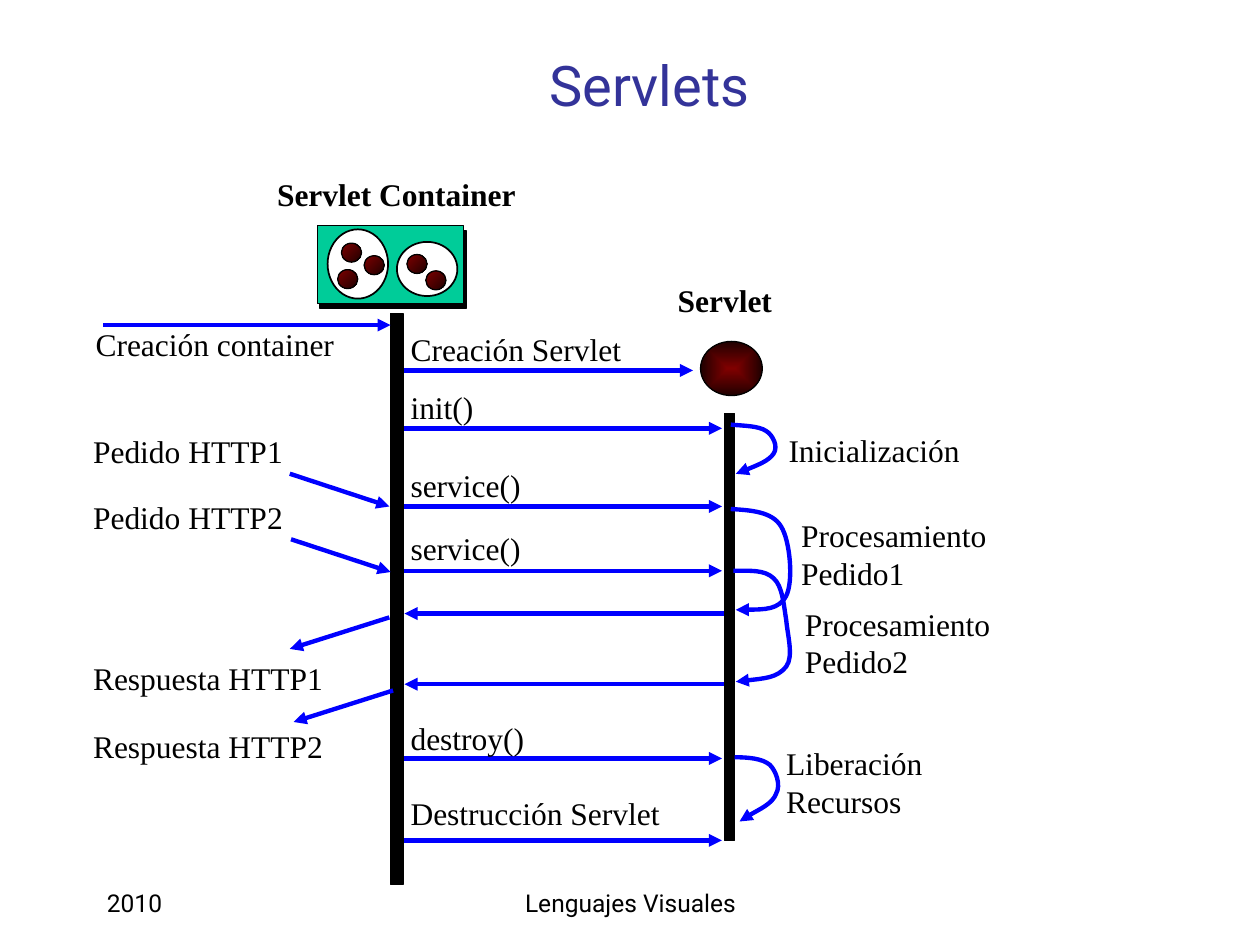
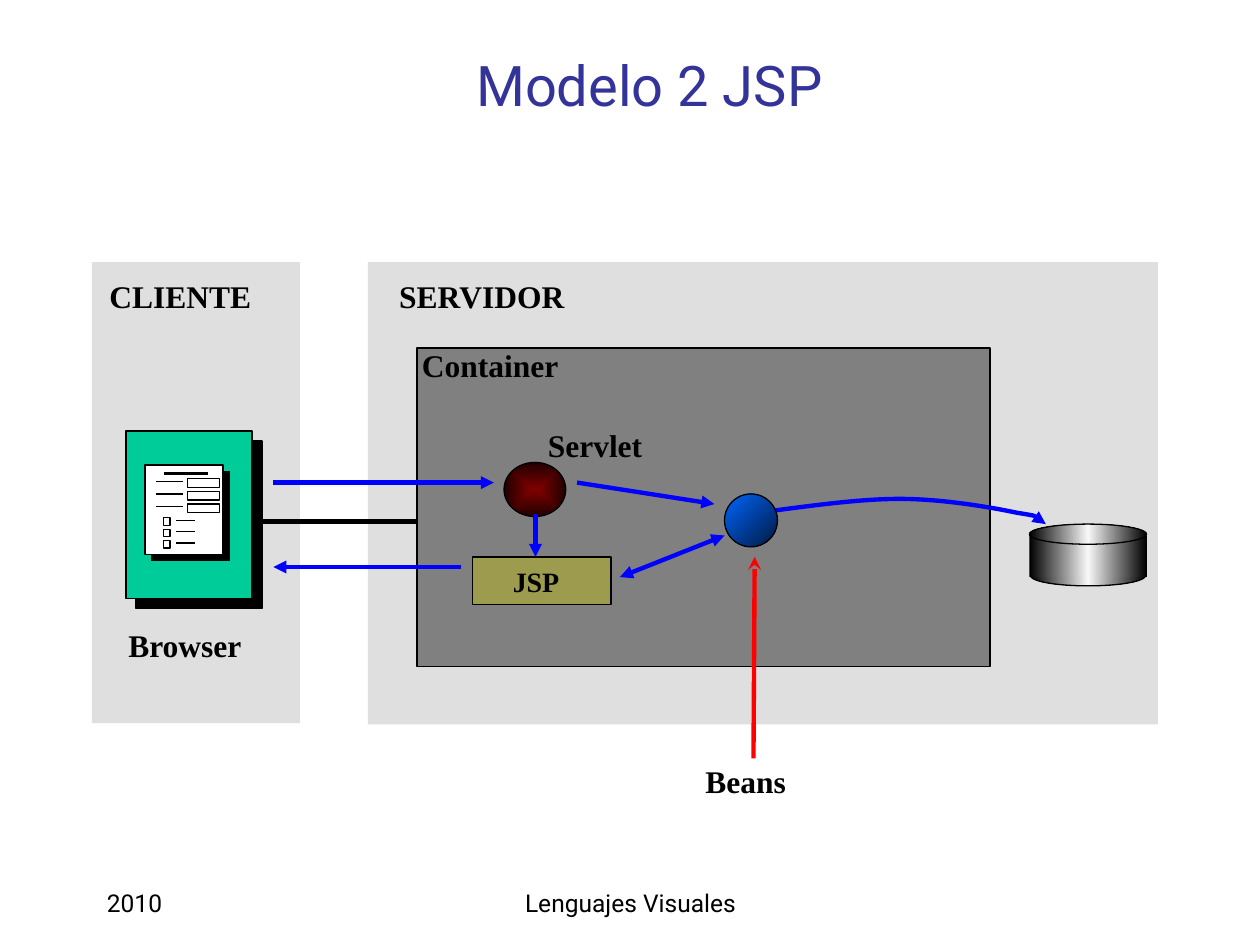
from lxml import etree
from pptx import Presentation
from pptx.dml.color import RGBColor as RGB
from pptx.enum.shapes import MSO_CONNECTOR as LINK, MSO_SHAPE as GEOM
from pptx.enum.text import MSO_ANCHOR as ANCHOR, PP_ALIGN as ALIGN
from pptx.oxml import parse_xml
from pptx.oxml.ns import qn
from pptx.util import Cm, Pt

BLACK = RGB(0, 0, 0)
WHITE = RGB(255, 255, 255)
NAVY = RGB(0x33, 0x33, 0x99)
BLUE = RGB(0, 0, 255)
RED = RGB(255, 0, 0)
GREEN = RGB(0, 0xCC, 0x99)
OLIVE = RGB(0x9D, 0x9B, 0x4D)
SILVER = RGB(0xC0, 0xC0, 0xC0)
GRAY = RGB(0x80, 0x80, 0x80)
LIGHT = RGB(0xF8, 0xF8, 0xF8)
MAROON = RGB(0x80, 0, 0)
DARK = RGB(0x20, 0, 0)
SKY = RGB(0, 0x66, 0xFF)
DEEP = RGB(0, 0x19, 0x3F)

SANS, SERIF = "Roboto", "Times New Roman"
A_NS = 'xmlns:a="http://schemas.openxmlformats.org/drawingml/2006/main"'
DOT = ((MAROON, DARK), 45)
STEEL = ((BLACK, LIGHT, BLACK), 0)


def inch(num):
    """Turn a slide measure in inches into a length."""
    return Cm(num * 2.54)


def style(frame, text, size=18, font=SERIF, color=BLACK, bold=False,
          align=ALIGN.LEFT, anchor=ANCHOR.TOP):
    """Put text in a frame, one paragraph a line, and format it."""
    frame.word_wrap = True
    frame.vertical_anchor = anchor
    frame.text = text
    for par in frame.paragraphs:
        par.alignment = align
        face = par.font
        face.name, face.size, face.bold = font, Pt(size), bold
        face.color.rgb = color


def label(art, text, x, y, w=2.25, h=0.4, **form):
    box = art.add_textbox(*map(inch, (x, y, w, h)))
    style(box.text_frame, text, **form)


def shade(shape, colors, angle):
    """Fill with even gradient stops; no angle means from the centre out."""
    last = len(colors) - 1
    stops = "".join(f'<a:gs pos="{100000 * i // last}"><a:srgbClr val="{c}"/></a:gs>'
                    for i, c in enumerate(colors))
    if angle is None:
        way = ('<a:path path="shape"><a:fillToRect l="50000" t="50000" '
               'r="50000" b="50000"/></a:path>')
    else:
        way = f'<a:lin ang="{angle * 60000}" scaled="1"/>'
    geom = shape.element.spPr.find(qn("a:prstGeom"))
    geom.addnext(parse_xml(f"<a:gradFill {A_NS}><a:gsLst>{stops}</a:gsLst>{way}</a:gradFill>"))


def form(art, x, y, w, h, fill=None, geom=GEOM.RECTANGLE, edge=0.75, clear=None):
    """Preset shape; fill is a colour, a (colours, angle) pair or None."""
    shape = art.add_shape(geom, *map(inch, (x, y, w, h)))
    shape.shadow.inherit = False
    if fill is None:
        shape.fill.background()
    elif isinstance(fill, RGB):
        shape.fill.solid()
        shape.fill.fore_color.rgb = fill
    else:
        shade(shape, *fill)
    if clear:
        tint = shape.element.spPr.find(qn("a:solidFill"))[0]
        etree.SubElement(tint, qn("a:alpha"), val=str(clear * 1000))
    if edge:
        shape.line.color.rgb = BLACK
        shape.line.width = Pt(edge)
    else:
        shape.line.fill.background()
    return shape


def oval(art, x, y, w, h, fill, **more):
    form(art, x, y, w, h, fill, geom=GEOM.OVAL, **more)


def ball(art, x, y):
    """The large sphere that stands for a servlet."""
    oval(art, x, y, 0.49, 0.43, ((MAROON, DARK), None))


def stroke(item, color, width, tip=None, both=False):
    item.line.color.rgb = color
    item.line.width = Pt(width)
    line = item.line._get_or_add_ln()
    if both:
        etree.SubElement(line, qn("a:headEnd"), type=tip)
    if tip:
        etree.SubElement(line, qn("a:tailEnd"), type=tip)


def rule(art, x1, y1, x2, y2, color=BLACK, width=0.75, **ends):
    link = art.add_connector(LINK.STRAIGHT, *map(inch, (x1, y1, x2, y2)))
    etree.SubElement(link.element.spPr, qn("a:effectLst"))
    stroke(link, color, width, **ends)


def arrow(art, x1, y1, x2, y2, color=BLUE, tip="triangle", both=False):
    rule(art, x1, y1, x2, y2, color, 2.5, tip=tip, both=both)


def curve(art, *spots):
    """Arrow along Bezier arcs: a start, then three points for each arc."""
    start, *rest = [tuple(map(inch, spot)) for spot in spots]
    pen = art.build_freeform(*start)
    pen.add_line_segments(rest, close=False)
    shape = pen.convert_to_shape()
    shape.shadow.inherit = False
    shape.fill.background()
    stroke(shape, BLUE, 2.5, "triangle")
    track = next(shape.element.iter(qn("a:path")))
    legs = track.findall(qn("a:lnTo"))
    for i in range(0, len(legs), 3):
        arc = etree.SubElement(track, qn("a:cubicBezTo"))
        for leg in legs[i:i + 3]:
            arc.append(leg[0])
            track.remove(leg)


def base(deck, title):
    """New slide with the shared footer and title."""
    art = deck.slides.add_slide(deck.slide_layouts[6]).shapes
    label(art, "2010", 0.75, 7, 2.08, 0.33, size=14, font=SANS)
    label(art, "Lenguajes Visuales", 3.42, 7, 3.17, 0.33,
          size=14, font=SANS, align=ALIGN.CENTER)
    label(art, title, 1.06, 0.21, 8.19, 0.92, size=32, font=SANS, color=NAVY,
          align=ALIGN.CENTER, anchor=ANCHOR.MIDDLE)
    return art


def pod(art):
    """Container icon with two groups of servlets."""
    part = art.add_group_shape().shapes
    form(part, 2.54, 1.83, 1.16, 0.62, BLACK)
    form(part, 2.52, 1.79, 1.16, 0.62, GREEN)
    oval(part, 2.6, 1.82, 0.48, 0.55, WHITE, edge=1)
    oval(part, 3.15, 1.92, 0.48, 0.43, WHITE, edge=1)
    for x, y in ((2.68, 2.14), (2.89, 2.03), (2.71, 1.93), (3.38, 2.15), (3.23, 2.02)):
        oval(part, x, y, 0.16, 0.15, DOT)


def browser(art):
    """Window with a page that holds a form."""
    part = art.add_group_shape().shapes
    form(part, 1.08, 3.5, 1, 1.33, BLACK)
    form(part, 1, 3.42, 1, 1.33, GREEN)
    form(part, 1.2, 3.74, 0.62, 0.71, BLACK)
    form(part, 1.15, 3.69, 0.62, 0.71, WHITE)
    rule(part, 1.3, 3.76, 1.65, 3.76, width=1.5)
    for i in range(3):
        field, check = 3.82 + 0.1 * i, 4.13 + 0.09 * i
        rule(part, 1.24, field, 1.45, field)
        form(part, 1.49, field - 0.02, 0.25, 0.07)
        rule(part, 1.4, check, 1.55, check)
        form(part, 1.3, check - 0.02, 0.05, 0.06)


def drum(art):
    """Database cylinder."""
    part = art.add_group_shape().shapes
    oval(part, 8.18, 4.49, 0.91, 0.16, STEEL)
    form(part, 8.17, 4.25, 0.93, 0.33, STEEL, edge=0)
    oval(part, 8.17, 4.16, 0.93, 0.16, STEEL)
    for x in (8.18, 9.1):
        rule(part, x, 4.25, x, 4.58)


def cycle(deck):
    """Life cycle of a servlet as a sequence diagram."""
    art = base(deck, "Servlets")
    label(art, "Servlet Container", 2.1, 1.34, 2.19, bold=True)
    pod(art)
    ball(art, 5.56, 2.71)
    label(art, "Servlet", 5.28, 2.18, 1.07, bold=True)

    # Calls and replies between the two lifelines
    arrow(art, 3.16, 2.94, 5.5, 2.94)
    for y in (3.4, 4.02, 4.53, 6.02, 6.67):
        arrow(art, 3.21, y, 5.73, y)
    for y in (4.87, 5.43):
        arrow(art, 5.8, y, 3.21, y)
    form(art, 3.1, 2.49, 0.1, 4.53, BLACK)
    form(art, 5.75, 3.28, 0.08, 3.39, BLACK)

    # Requests and responses outside the container
    arrow(art, 0.82, 2.58, 3.1, 2.58)
    for x, y in ((2.3, 3.76), (2.31, 4.28)):
        arrow(art, x, y, x + 0.79, y + 0.26)
    for x, y in ((3.09, 4.9), (3.12, 5.48)):
        arrow(art, x, y, x - 0.79, y + 0.25)

    # Work inside the servlet
    curve(art, (5.8, 3.37), (5.91, 3.38), (6.02, 3.38), (6.08, 3.42),
          (6.13, 3.45), (6.18, 3.54), (6.14, 3.6),
          (6.1, 3.66), (5.9, 3.74), (5.84, 3.76))
    curve(art, (5.8, 4.04), (5.96, 4.05), (6.13, 4.06), (6.2, 4.18),
          (6.27, 4.29), (6.3, 4.61), (6.24, 4.73),
          (6.18, 4.84), (6.01, 4.84), (5.84, 4.84))
    curve(art, (5.82, 4.53), (5.95, 4.53), (6.07, 4.52), (6.14, 4.59),
          (6.21, 4.65), (6.22, 4.8), (6.24, 4.92),
          (6.25, 5.04), (6.3, 5.21), (6.24, 5.29),
          (6.17, 5.38), (6.01, 5.39), (5.84, 5.41))
    curve(art, (5.83, 6.01), (5.94, 6.01), (6.05, 6.02), (6.11, 6.07),
          (6.16, 6.12), (6.2, 6.23), (6.16, 6.3),
          (6.13, 6.38), (5.92, 6.48), (5.87, 6.52))

    # Labels, column by column
    label(art, "Creación container", 0.66, 2.53)
    for text, y in (("Pedido HTTP1", 3.38), ("Pedido HTTP2", 3.9),
                    ("Respuesta HTTP1", 5.18), ("Respuesta HTTP2", 5.72)):
        label(art, text, 0.64, y)
    for text, y in (("Creación Servlet", 2.57), ("init()", 3.03),
                    ("service()", 3.65), ("service()", 4.15),
                    ("destroy()", 5.66), ("Destrucción Servlet", 6.25)):
        label(art, text, 3.16, y, 2.35)
    label(art, "Inicialización", 6.16, 3.37, 1.78)
    for text, x, y in (("Procesamiento\nPedido1", 6.26, 4.05),
                       ("Procesamiento\nPedido2", 6.29, 4.75),
                       ("Liberación\nRecursos", 6.14, 5.86)):
        label(art, text, x, y, 1.82, 0.7)


def model(deck):
    """Client and server parts of the JSP model."""
    art = base(deck, "Modelo 2 JSP")

    # Areas
    form(art, 2.92, 2.08, 6.27, 3.67, SILVER, edge=0, clear=50)
    form(art, 3.31, 2.76, 4.55, 2.53, GRAY, edge=1)
    form(art, 0.73, 2.08, 1.65, 3.66, SILVER, edge=0, clear=50)
    rule(art, 1.98, 4.14, 3.31, 4.14, width=2.5)
    browser(art)
    drum(art)

    for text, x, y, w in (("Container", 3.25, 2.7, 4.28), ("Browser", 0.92, 4.92, 1.13),
                          ("Beans", 5.5, 6, 1.13), ("SERVIDOR", 3.07, 2.15, 1.76),
                          ("CLIENTE", 0.77, 2.15, 1.43), ("Servlet", 4.25, 3.33, 1.13)):
        label(art, text, x, y, w, bold=True)

    # Servlet, page and bean
    curve(art, (6.01, 4.07), (6.4, 4.02), (6.8, 3.96), (7.14, 3.96),
          (7.49, 3.96), (7.88, 4.03), (8.07, 4.07),
          (8.26, 4.1), (8.28, 4.13), (8.3, 4.16))
    oval(art, 5.75, 3.92, 0.42, 0.42, ((SKY, DEEP), 45))
    page = form(art, 3.75, 4.42, 1.1, 0.38, OLIVE)
    style(page.text_frame, "JSP", size=16, bold=True, anchor=ANCHOR.MIDDLE)
    page.text_frame.margin_left = inch(0.32)
    ball(art, 4, 3.67)

    # Flow
    arrow(art, 5.98, 6.02, 5.99, 4.42, color=RED, tip="stealth")
    arrow(art, 2.17, 3.83, 3.92, 3.83)
    arrow(art, 3.66, 4.5, 2.17, 4.5)
    arrow(art, 4.58, 3.83, 5.67, 4)
    arrow(art, 4.25, 4.08, 4.25, 4.42)
    arrow(art, 4.92, 4.58, 5.75, 4.25, both=True)


def main():
    deck = Presentation()
    deck.slide_width, deck.slide_height = inch(10), inch(7.5)
    cycle(deck)
    model(deck)
    deck.save("out.pptx")


main()
